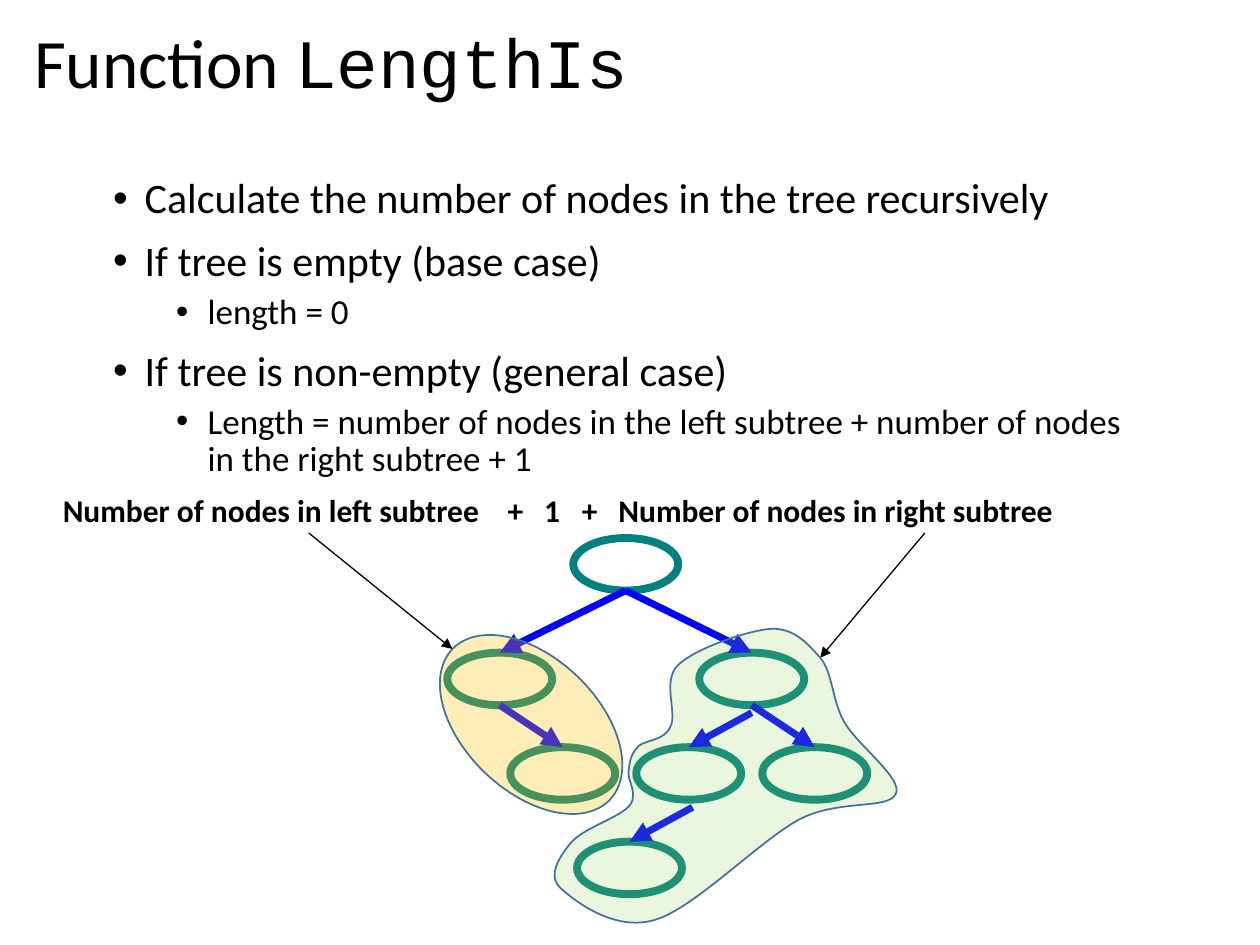
import lxml.etree
import pptx
import pptx.dml.color
import pptx.enum.shapes
import pptx.enum.text
import pptx.oxml.ns
import pptx.util

COLUMNS, ROWS = 100, 75
NODE_WIDTH, NODE_HEIGHT = 8.33, 4.17

BULLETS = [
    (0, "Calculate the number of nodes in the tree recursively"),
    (0, "If tree is empty (base case)"),
    (1, "length = 0"),
    (0, "If tree is non-empty (general case)"),
    (1, "Length = number of nodes in the left subtree + number of nodes "
        "in the right subtree + 1"),
]
LEVELS = [
    {"size": 24, "before": 10, "indent": 0.25},
    {"size": 20, "before": 5, "indent": 0.75},
]
SUM_PARTS = ["Number of nodes in left subtree", "+", "1", "+",
             "Number of nodes in right subtree"]
SUM_TABS = [3.53, 3.82, 4.12, 4.41]

NODES = {
    "root": (45.5, 42.7),
    "left": (35.5, 51.8),
    "right": (55.5, 51.8),
    "left right": (40.5, 59.3),
    "right left": (50.5, 59.3),
    "right right": (60.5, 59.3),
    "leaf": (45.8, 66.8),
}
EDGES = [
    ("left", "left right", 0, 0),
    ("right", "right right", 0, 0),
    ("root", "right", 0, 0),
    ("root", "left", 0, 0),
    ("right", "right left", 0, 0.6),
    ("right left", "leaf", 0.3, 0.6),
]
OUTLINE_PLACE = (44, 49.9, 27.2, 23.3)
OUTLINE_START = (61.3, 49.9)
OUTLINE_CURVES = [
    ((59.4, 50), (55.1, 51.5), (53.8, 52.8)),
    ((52.5, 54.1), (53.8, 56.6), (53.2, 57.7)),
    ((52.7, 58.8), (51.3, 58.7), (50.7, 59.2)),
    ((50.1, 59.8), (50, 60.3), (49.9, 61.1)),
    ((49.7, 61.9), (50.7, 62.9), (50, 63.9)),
    ((49.2, 64.9), (46.3, 65.7), (45.3, 66.9)),
    ((44.4, 68), (43.4, 69.5), (44.5, 70.5)),
    ((45.6, 71.5), (48.8, 74), (52, 73)),
    ((55.1, 72.1), (60.3, 66.7), (63.5, 65)),
    ((66.7, 63.4), (70.5, 64.3), (71.1, 63)),
    ((71.7, 61.8), (68, 59.1), (67, 57.3)),
    ((66, 55.5), (66.1, 53.4), (65.1, 52.2)),
    ((64.1, 51.1), (63.1, 49.9), OUTLINE_START),
]


def color(code):
    return pptx.dml.color.RGBColor.from_string(code)


def set_values(target, values):
    for name, value in values.items():
        setattr(target, name, value)


def add_element(parent, tag, **attributes):
    return lxml.etree.SubElement(parent, pptx.oxml.ns.qn(tag), attributes)


class TreeSlide:
    text_color = "000000"
    font = "Calibri"
    code_font = "Courier New"
    node_color = "008080"
    edge_color = "0000FF"
    region_line = "42719B"

    def __init__(self, deck):
        self.deck = deck
        self.page = deck.slides.add_slide(deck.slide_layouts[5])

    def across(self, columns):
        return round(self.deck.slide_width * columns / COLUMNS)

    def down(self, rows):
        return round(self.deck.slide_height * rows / ROWS)

    def area(self, left, top, width, height):
        return self.across(left), self.down(top), self.across(width), self.down(height)

    def move(self, shape, place):
        set_values(shape, dict(zip(("left", "top", "width", "height"), self.area(*place))))

    def span(self, para, text, size, font=None, bold=False):
        span = para.add_run()
        span.text = text
        set_values(span.font, {"size": pptx.util.Pt(size), "name": font or self.font,
                               "bold": bold})
        span.font.color.rgb = color(self.text_color)

    def title(self, place, parts, size):
        box = self.page.shapes.title
        self.move(box, place)
        set_values(box.text_frame, {
            "word_wrap": True,
            "auto_size": pptx.enum.text.MSO_AUTO_SIZE.NONE,
            "vertical_anchor": pptx.enum.text.MSO_ANCHOR.TOP,
        })
        para = box.text_frame.paragraphs[0]
        set_values(para, {"alignment": pptx.enum.text.PP_ALIGN.LEFT, "line_spacing": 0.9})
        for text, font in parts:
            self.span(para, text, size, font)

    def text_box(self, place):
        box = self.page.shapes.add_textbox(*self.area(*place))
        box.text_frame.word_wrap = True
        return box.text_frame

    def bullets(self, place, items):
        frame = self.text_box(place)
        for index, (level, text) in enumerate(items):
            style = LEVELS[level]
            para = frame.add_paragraph() if index else frame.paragraphs[0]
            properties = para._p.get_or_add_pPr()
            properties.set("marL", str(pptx.util.Inches(style["indent"])))
            properties.set("indent", str(-pptx.util.Inches(0.25)))
            bullet_color = add_element(properties, "a:buClr")
            add_element(bullet_color, "a:srgbClr", val=self.text_color)
            add_element(properties, "a:buFont", typeface="Arial")
            add_element(properties, "a:buChar", char="•")
            set_values(para, {"level": level, "line_spacing": 0.9,
                              "space_before": pptx.util.Pt(style["before"] if index else 0)})
            self.span(para, text, style["size"])

    def tabbed_line(self, place, parts, stops, size):
        para = self.text_box(place).paragraphs[0]
        tabs = add_element(para._p.get_or_add_pPr(), "a:tabLst")
        for stop in stops:
            add_element(tabs, "a:tab", pos=str(pptx.util.Inches(stop)), algn="l")
        self.span(para, "\t".join(parts), size, bold=True)

    def finish(self, shape, line, width, fill=None, opacity=100):
        shape.shadow.inherit = False
        shape.line.color.rgb = color(line)
        shape.line.width = pptx.util.Pt(width)
        if fill is None:
            shape.fill.background()
            return
        shape.fill.solid()
        shape.fill.fore_color.rgb = color(fill)
        tint = shape._element.spPr.find(pptx.oxml.ns.qn("a:solidFill"))[0]
        add_element(tint, "a:alpha", val=str(opacity * 1000))

    def ellipse(self, place, line, width, fill=None, opacity=100, rotation=0):
        shape = self.page.shapes.add_shape(pptx.enum.shapes.MSO_SHAPE.OVAL,
                                           *self.area(*place))
        shape.rotation = rotation
        self.finish(shape, line, width, fill, opacity)

    def node(self, left, top):
        self.ellipse((left, top, NODE_WIDTH, NODE_HEIGHT), self.node_color, 4.5)

    def edge(self, parent, child, shift, gap):
        half = NODE_WIDTH / 2
        start = (parent[0] + half + shift, parent[1] + NODE_HEIGHT + gap)
        self.arrow(start, (child[0] + half, child[1]), self.edge_color, 4)

    def arrow(self, start, end, line, width):
        ends = [self.across(start[0]), self.down(start[1]),
                self.across(end[0]), self.down(end[1])]
        arrow = self.page.shapes.add_connector(
            pptx.enum.shapes.MSO_CONNECTOR.STRAIGHT, *ends)
        arrow.line.color.rgb = color(line)
        arrow.line.width = pptx.util.Pt(width)
        add_element(arrow.line._get_or_add_ln(), "a:tailEnd", type="triangle")
        add_element(arrow._element.spPr, "a:effectLst")

    def region(self, place, start, curves, fill, opacity):
        corners = [(self.across(x), self.down(y))
                   for x, y in [start] + [curve[-1] for curve in curves]]
        builder = self.page.shapes.build_freeform(*corners[0])
        builder.add_line_segments(corners[1:], close=True)
        shape = builder.convert_to_shape()
        self.move(shape, place)
        outline = next(shape._element.iter(pptx.oxml.ns.qn("a:path")))
        for step in list(outline):
            outline.remove(step)
        outline.set("w", str(shape.width))
        outline.set("h", str(shape.height))
        steps = [("a:moveTo", [start])] + [("a:cubicBezTo", curve) for curve in curves]
        for tag, points in steps:
            step = add_element(outline, tag)
            for x, y in points:
                add_element(step, "a:pt", x=str(self.across(x) - shape.left),
                            y=str(self.down(y) - shape.top))
        add_element(outline, "a:close")
        self.finish(shape, self.region_line, 1, fill, opacity)


def main():
    deck = pptx.Presentation()
    deck.slide_width, deck.slide_height = pptx.util.Inches(10), pptx.util.Inches(7.5)
    slide = TreeSlide(deck)
    slide.title((1.7, 1.8, 96.2, 7.4),
                [("Function ", slide.font), ("LengthIs", slide.code_font)], 39.6)
    slide.bullets((8, 13.6, 84, 52.4), BULLETS)
    for place in NODES.values():
        slide.node(*place)
    for parent, child, shift, gap in EDGES:
        slide.edge(NODES[parent], NODES[child], shift, gap)
    slide.ellipse((33.5, 52.2, 17.3, 10.6), slide.region_line, 1, "FFC000", 28, 43.8)
    slide.tabbed_line((4, 38.5, 93.3, 7.1), SUM_PARTS, SUM_TABS, 18)
    for start, end in [((73.4, 42.3), (65.1, 52.2)), ((24.5, 42.3), (35.9, 51.5))]:
        slide.arrow(start, end, slide.text_color, 0.75)
    slide.region(OUTLINE_PLACE, OUTLINE_START, OUTLINE_CURVES, "92D050", 20)
    deck.save("out.pptx")


if __name__ == "__main__":
    main()
